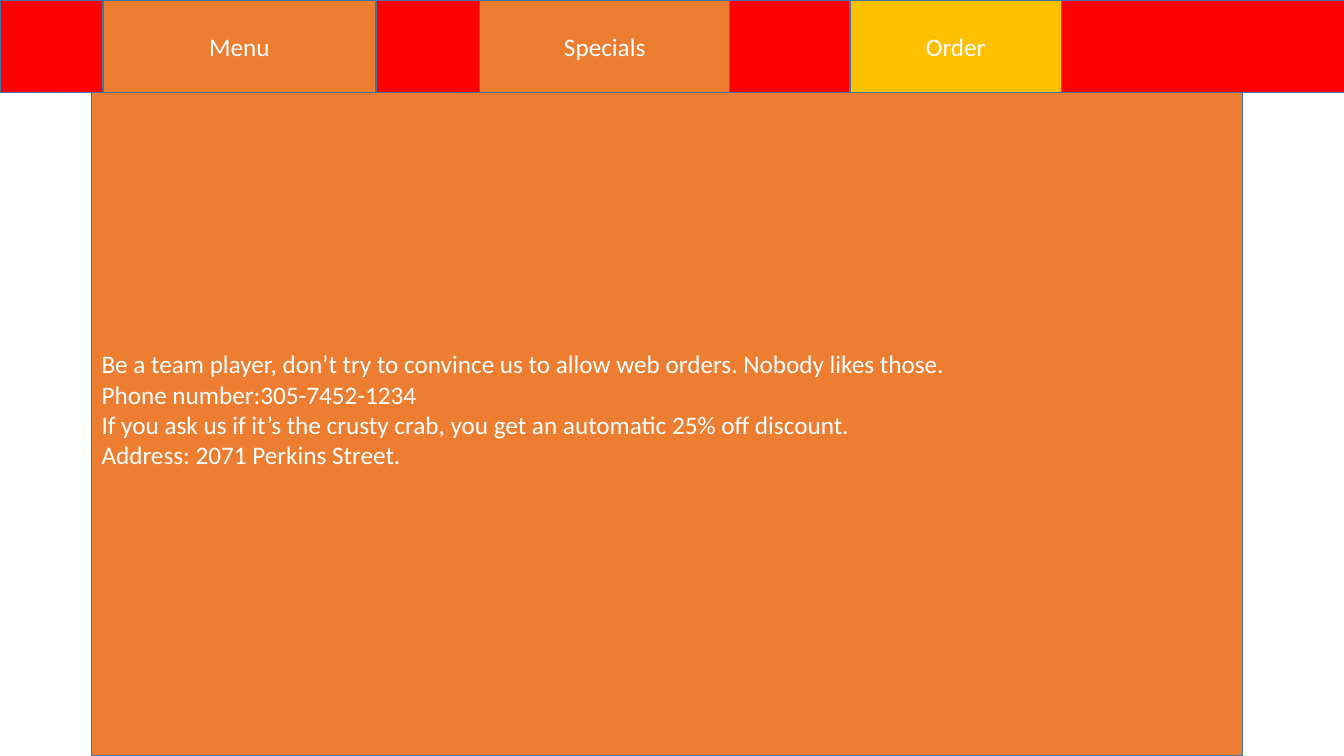
from pptx import Presentation
from pptx.dml.color import RGBColor
from pptx.enum.shapes import MSO_SHAPE
from pptx.enum.text import MSO_ANCHOR, PP_ALIGN
from pptx.util import Inches, Pt

WIDE, HIGH = 13.33, 7.5
RED, ORANGE, GOLD = "FF0000", "ED7D31", "FFC000"
EDGE, WHITE = "43739E", "FFFFFF"
BAR = 12.27  # navigation bar height, percent of slide height

TABS = [
    ("Menu", 7.65, 20.33, ORANGE),
    ("Specials", 35.7, 18.6, ORANGE),
    ("Order", 63.23, 15.75, GOLD),
]
NOTES = [
    "Be a team player, don’t try to convince us to allow web orders. Nobody likes those.",
    "Phone number:305-7452-1234",
    "If you ask us if it’s the crusty crab, you get an automatic 25% off discount.",
    "Address: 2071 Perkins Street.",
]


def color(code):
    """Turn a hex string into a colour."""
    return RGBColor.from_string(code)


def panel(slide, left, top, width, height, fill):
    """Add an outlined box; lengths are percents of the slide's size."""
    box = slide.shapes.add_shape(
        MSO_SHAPE.RECTANGLE,
        Inches(WIDE * left / 100), Inches(HIGH * top / 100),
        Inches(WIDE * width / 100), Inches(HIGH * height / 100))
    box.shadow.inherit = False
    box.fill.solid()
    box.fill.fore_color.rgb = color(fill)
    box.line.color.rgb = color(EDGE)
    box.line.width = Pt(1)
    return box


def write(box, lines, align=PP_ALIGN.CENTER, size=18, ink=WHITE,
          font="Calibri", bottom=0.05):
    """Fill a box with one paragraph per line, centred vertically."""
    frame = box.text_frame
    frame.word_wrap = True
    frame.vertical_anchor = MSO_ANCHOR.MIDDLE
    frame.margin_bottom = Inches(bottom)
    frame.text = "\n".join(lines)
    for para in frame.paragraphs:
        para.alignment = align
        for run in para.runs:
            run.font.name = font
            run.font.size = Pt(size)
            run.font.color.rgb = color(ink)


def main():
    """Build the order page and save it."""
    deck = Presentation()
    deck.slide_width, deck.slide_height = Inches(WIDE), Inches(HIGH)
    slide = deck.slides.add_slide(deck.slide_layouts[6])

    panel(slide, 0, 0, 100.6, BAR, RED)
    for label, left, width, fill in TABS:
        write(panel(slide, left, 0, width, BAR, fill), [label])

    body = panel(slide, 6.82, BAR, 85.65, 100 - BAR, ORANGE)
    write(body, NOTES, align=PP_ALIGN.LEFT, bottom=0.35)

    deck.save("out.pptx")


main()
